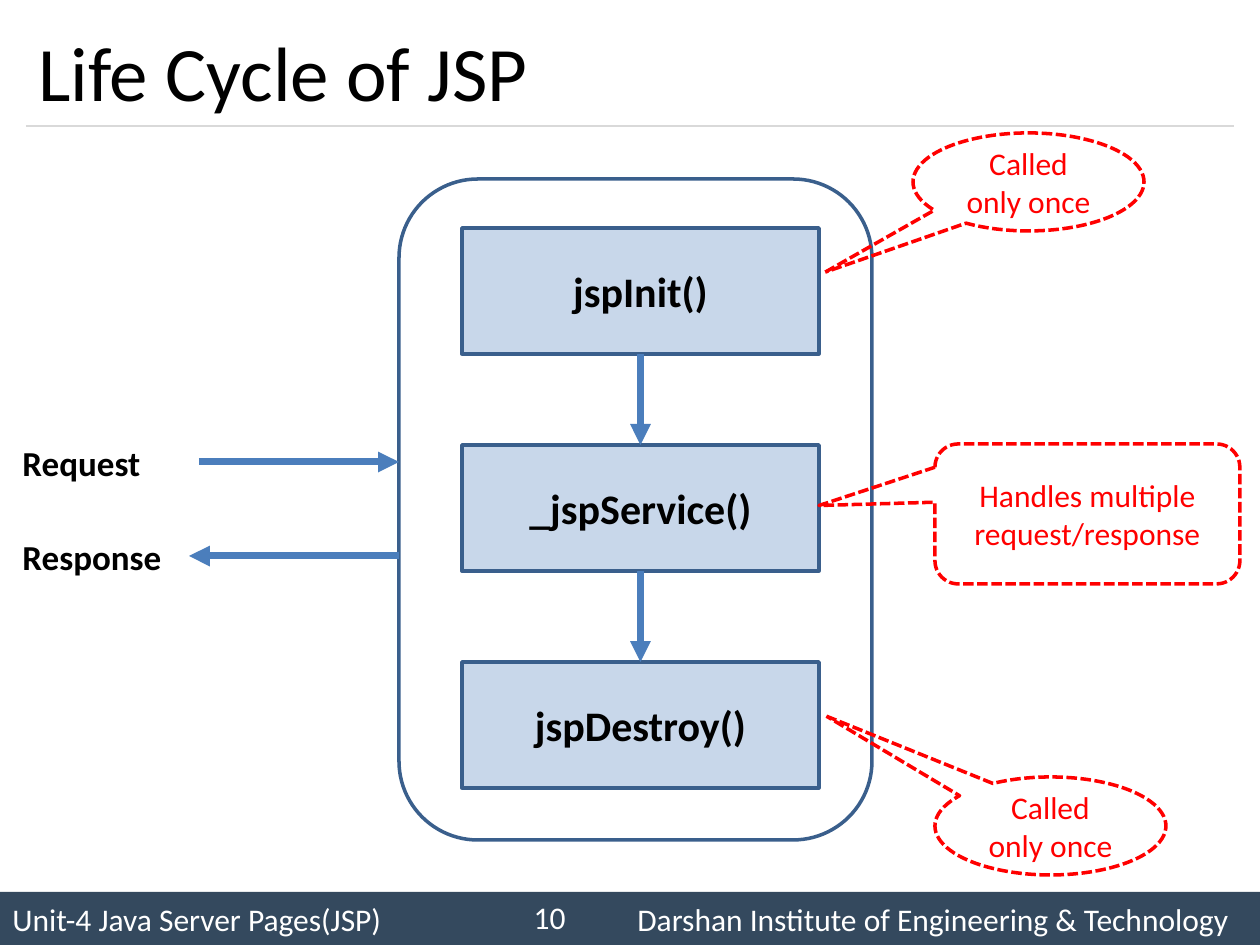
from lxml import etree
from pptx import Presentation, util as u
from pptx.dml.color import RGBColor
from pptx.enum import dml, shapes, text
from pptx.oxml import ns

PX = 914400 / 126  # EMU in one px

BLACK = RGBColor(0x00, 0x00, 0x00)
WHITE = RGBColor(0xFF, 0xFF, 0xFF)
RED = RGBColor(0xFF, 0x00, 0x00)
SLATE = RGBColor(0x34, 0x49, 0x5E)
GRAY = RGBColor(0xD9, 0xD9, 0xD9)
BLUE = RGBColor(0x4F, 0x81, 0xBD)
OUTLINE = RGBColor(0x3A, 0x5F, 0x8C)
ARROW = RGBColor(0x4B, 0x7E, 0xBC)

presentation = Presentation()
presentation.slide_width = round(1260 * PX)
presentation.slide_height = round(945 * PX)
slide = presentation.slides.add_slide(presentation.slide_layouts[6])


def add_box(box, words="", kind=None, fill=None, alpha=None, line=None, dash=None,
            size=18, color=BLACK, bold=False, align=text.PP_ALIGN.LEFT,
            anchor=text.MSO_ANCHOR.MIDDLE):
    """Add a text box, or a preset shape when kind is given."""
    place = [round(value * PX) for value in box]
    if kind is None:
        shape = slide.shapes.add_textbox(*place)
    else:
        shape = slide.shapes.add_shape(kind, *place)
        shape.shadow.inherit = False
    if fill is None:
        shape.fill.background()
    else:
        shape.fill.solid()
        shape.fill.fore_color.rgb = fill
        if alpha:
            color_element = shape.fill._xPr.find(".//" + ns.qn("a:srgbClr"))
            etree.SubElement(color_element, ns.qn("a:alpha"), val=str(alpha * 1000))
    if line is None:
        shape.line.fill.background()
    else:
        shape.line.color.rgb = line
        shape.line.width = u.Pt(2)
        if dash:
            shape.line.dash_style = dash
    frame = shape.text_frame
    frame.word_wrap = True
    frame.vertical_anchor = anchor
    if words:
        paragraph = frame.paragraphs[0]
        paragraph.alignment = align
        run = paragraph.add_run()
        run.text = words
        run.font.name = "Calibri"
        run.font.size = u.Pt(size)
        run.font.bold = bold
        run.font.color.rgb = color
    return shape


def add_line(x1, y1, x2, y2, color, width, arrow=False):
    connector = slide.shapes.add_connector(
        shapes.MSO_CONNECTOR.STRAIGHT, *[round(value * PX) for value in (x1, y1, x2, y2)])
    connector.line.color.rgb = color
    connector.line.width = u.Pt(width)
    if arrow:
        etree.SubElement(connector.line._get_or_add_ln(), ns.qn("a:tailEnd"), type="triangle")
    etree.SubElement(connector._element.spPr, ns.qn("a:effectLst"))
    return connector


# Footer bar: unit name, then the institute at a tab stop
footer = add_box((0, 892, 1260, 53), "Unit-4 Java Server Pages(JSP)\t"
                 "Darshan Institute of Engineering & Technology",
                 kind=shapes.MSO_SHAPE.RECTANGLE, fill=SLATE, color=WHITE)
tabs = etree.SubElement(footer.text_frame.paragraphs[0]._p.get_or_add_pPr(), ns.qn("a:tabLst"))
etree.SubElement(tabs, ns.qn("a:tab"), pos=str(round(625 * PX)), algn="l")

# Title, rule and slide number
add_line(26, 126, 1234, 126, GRAY, 0.75)
add_box((26, 15, 1208, 111), "Life Cycle of JSP", size=44)
add_box((494, 892, 84, 50), "10", color=WHITE, align=text.PP_ALIGN.RIGHT)

# Container and life cycle stages
add_box((399, 179, 473, 661), kind=shapes.MSO_SHAPE.ROUNDED_RECTANGLE, line=OUTLINE)
stages = []
for index, name in enumerate(["jspInit()", "_jspService()", "jspDestroy()"]):
    stages.append(add_box((462, 228 + 217 * index, 357, 126), name,
                          kind=shapes.MSO_SHAPE.RECTANGLE, fill=BLUE, alpha=31, line=OUTLINE,
                          size=24, bold=True, align=text.PP_ALIGN.CENTER))

# Arrows from each stage to the next
for upper, lower in zip(stages, stages[1:]):
    connector = add_line(0, 0, 1, 1, ARROW, 4, arrow=True)
    connector.begin_connect(upper, 2)
    connector.end_connect(lower, 0)

# Request and response
for words, top, start, end in [("Request", 435, 199, 399), ("Response", 529, 399, 189)]:
    add_line(start, top + 27, end, top + 27, ARROW, 4, arrow=True)
    add_box((10, top, 168, 55), words, size=20, bold=True, anchor=text.MSO_ANCHOR.TOP)

# Callouts
ellipse = shapes.MSO_SHAPE.OVAL_CALLOUT
rounded = shapes.MSO_SHAPE.ROUNDED_RECTANGULAR_CALLOUT
for kind, box, words, pointer in [
    (ellipse, (913, 133, 231, 98), "Called only once", (-0.88, 0.92)),
    (ellipse, (935, 777, 231, 98), "Called only once", (-0.97, -1.12)),
    (rounded, (935, 444, 305, 140), "Handles multiple request/response", (-0.88, -0.06)),
]:
    callout = add_box(box, words, kind=kind, line=RED, color=RED,
                      dash=dml.MSO_LINE.SQUARE_DOT, align=text.PP_ALIGN.CENTER)
    for index, value in enumerate(pointer):
        callout.adjustments[index] = value

presentation.save("out.pptx")
